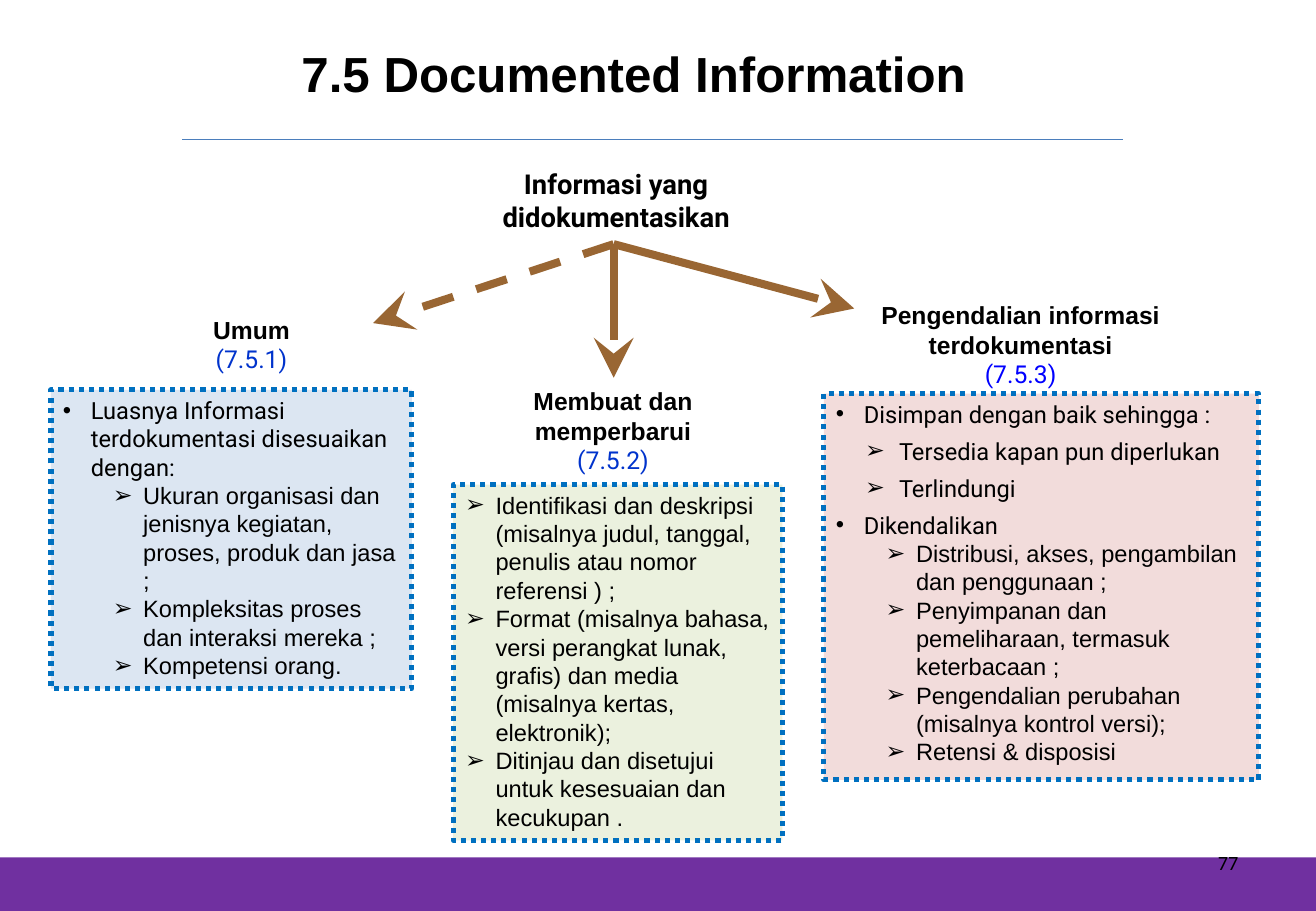
from dataclasses import dataclass

from lxml import etree
from pptx import Presentation
from pptx import util as u
from pptx.dml.color import RGBColor
from pptx.enum import dml, shapes, text
from pptx.oxml.ns import qn

EMU_PER_PX = 9144  # 100 px to the inch
BLACK, LINK_BLUE, BORDER, BROWN = "000000", "0033CC", "0070C0", "996633"
ARIAL, ROBOTO = "Arial", "Roboto"


@dataclass(frozen=True)
class Bullet:
    char: str
    margin: int
    hanging: int
    font: str
    level: int = 0
    before: float = 0


TOPIC = Bullet("•", 23, 23, ROBOTO, before=5.1)
SUBTOPIC = Bullet("➢", 52, 28, ROBOTO, level=1, before=5.1)
DETAIL = Bullet("➢", 66, 25, ARIAL, level=1)
POINT = Bullet("➢", 25, 25, ARIAL)


@dataclass(frozen=True)
class Clause:
    heading: str
    number: str
    number_color: str
    heading_box: tuple[int, int, int, int]
    panel_box: tuple[int, int, int, int]
    fill: str
    items: tuple[tuple[Bullet, str], ...]


@dataclass(frozen=True)
class Rule:
    start: tuple[int, int]
    end: tuple[int, int]
    color: str = BROWN
    width: float = 4.75
    arrow: bool = True
    dashed: bool = False


CLAUSES = (
    Clause("Umum", "(7.5.1)", LINK_BLUE, (75, 254, 264, 59), (42, 321, 297, 246), "DCE6F2", (
        (TOPIC, "Luasnya Informasi terdokumentasi disesuaikan dengan:"),
        (DETAIL, "Ukuran organisasi dan jenisnya kegiatan, proses, produk dan jasa ;"),
        (DETAIL, "Kompleksitas proses dan interaksi mereka ;"),
        (DETAIL, "Kompetensi orang."),
    )),
    Clause("Membuat dan memperbarui", "(7.5.2)", LINK_BLUE,
           (365, 313, 279, 84), (373, 399, 271, 293), "EBF1DE", (
        (POINT, "Identifikasi dan deskripsi (misalnya judul, tanggal, penulis atau nomor referensi ) ;"),
        (POINT, "Format (misalnya bahasa, versi perangkat lunak, grafis) dan media "
                "(misalnya kertas, elektronik);"),
        (POINT, "Ditinjau dan disetujui untuk kesesuaian dan kecukupan ."),
    )),
    Clause("Pengendalian informasi terdokumentasi", "(7.5.3)", "0000FF",
           (715, 242, 250, 84), (678, 324, 358, 318), "F2DCDB", (
        (TOPIC, "Disimpan dengan baik sehingga :"),
        (SUBTOPIC, "Tersedia kapan pun diperlukan"),
        (SUBTOPIC, "Terlindungi"),
        (TOPIC, "Dikendalikan"),
        (DETAIL, "Distribusi, akses, pengambilan dan penggunaan ;"),
        (DETAIL, "Penyimpanan dan pemeliharaan, termasuk keterbacaan ;"),
        (DETAIL, "Pengendalian perubahan (misalnya kontrol versi);"),
        (DETAIL, "Retensi & disposisi"),
    )),
)

ARROW_ORIGIN = (505, 201)
RULES = (
    Rule((150, 115), (924, 115), color="4B7EBC", width=0.75, arrow=False),
    Rule(ARROW_ORIGIN, (307, 266), dashed=True),
    Rule(ARROW_ORIGIN, (505, 311)),
    Rule(ARROW_ORIGIN, (703, 254)),
)


def px(length: int) -> u.Emu:
    return u.Emu(length * EMU_PER_PX)


def rgb(color: str) -> RGBColor:
    return RGBColor.from_string(color)


def add_bullet(paragraph, bullet: Bullet, first: bool) -> None:
    paragraph.level = bullet.level
    if not first:
        paragraph.space_before = u.Pt(bullet.before)
    props = paragraph._p.get_or_add_pPr()
    props.set("marL", str(px(bullet.margin)))
    props.set("indent", str(px(-bullet.hanging)))
    etree.SubElement(props, qn("a:buFont")).set("typeface", ARIAL)
    etree.SubElement(props, qn("a:buChar")).set("char", bullet.char)


def write(frame, words: str, *, size: float, font: str = ARIAL, color: str = BLACK,
          bold: bool = False, align=text.PP_ALIGN.CENTER, bullet: Bullet | None = None) -> None:
    """Fill the empty first paragraph, or append another one."""
    frame.word_wrap = True
    first = not frame.text
    paragraph = frame.paragraphs[0] if first else frame.add_paragraph()
    paragraph.alignment = align
    if bullet:
        add_bullet(paragraph, bullet, first)
    run = paragraph.add_run()
    run.text = words
    run.font.name = font
    run.font.size = u.Pt(size)
    run.font.bold = bold
    run.font.color.rgb = rgb(color)


def add_frame(slide, box: tuple[int, int, int, int]):
    return slide.shapes.add_textbox(*map(px, box)).text_frame


def add_rect(slide, box: tuple[int, int, int, int], fill: str):
    rect = slide.shapes.add_shape(shapes.MSO_SHAPE.RECTANGLE, *map(px, box))
    rect.shadow.inherit = False
    rect.fill.solid()
    rect.fill.fore_color.rgb = rgb(fill)
    rect.line.fill.background()
    return rect


def draw_rule(slide, rule: Rule) -> None:
    connector = slide.shapes.add_connector(
        shapes.MSO_CONNECTOR.STRAIGHT, *map(px, rule.start + rule.end))
    connector.line.color.rgb = rgb(rule.color)
    connector.line.width = u.Pt(rule.width)
    if rule.dashed:
        connector.line.dash_style = dml.MSO_LINE.DASH
    if rule.arrow:
        head = etree.SubElement(connector.line._get_or_add_ln(), qn("a:tailEnd"))
        for key, value in (("type", "stealth"), ("w", "lg"), ("len", "lg")):
            head.set(key, value)
    etree.SubElement(connector._element.spPr, qn("a:effectLst"))


def draw_clause(slide, clause: Clause) -> None:
    heading = add_frame(slide, clause.heading_box)
    write(heading, clause.heading, size=14.6, bold=True)
    write(heading, clause.number, size=14.6, font=ROBOTO, color=clause.number_color)

    panel = add_rect(slide, clause.panel_box, clause.fill)
    panel.line.color.rgb = rgb(BORDER)
    panel.line.width = u.Pt(3)
    panel.line.dash_style = dml.MSO_LINE.ROUND_DOT
    panel.text_frame.vertical_anchor = text.MSO_ANCHOR.TOP
    for bullet, words in clause.items:
        write(panel.text_frame, words, size=14, font=bullet.font,
              align=text.PP_ALIGN.LEFT, bullet=bullet)


def main() -> None:
    deck = Presentation()
    deck.slide_width, deck.slide_height = px(1083), px(750)
    slide = deck.slides.add_slide(deck.slide_layouts[6])

    # Footer band and page number
    add_rect(slide, (0, 706, 1083, 44), "7030A0")
    write(add_frame(slide, (776, 695, 253, 40)), "77", size=12, font="Calibri",
          align=text.PP_ALIGN.RIGHT)

    # Title and root topic
    title = add_frame(slide, (164, 25, 715, 70))
    title.vertical_anchor = text.MSO_ANCHOR.MIDDLE
    write(title, "7.5 Documented Information", size=29.2, bold=True)
    write(add_frame(slide, (352, 133, 310, 65)), "Informasi yang didokumentasikan",
          size=16.2, font=ROBOTO, bold=True)

    # Clauses, then the divider and arrows
    for clause in CLAUSES:
        draw_clause(slide, clause)
    for rule in RULES:
        draw_rule(slide, rule)

    deck.save("out.pptx")


if __name__ == "__main__":
    main()
